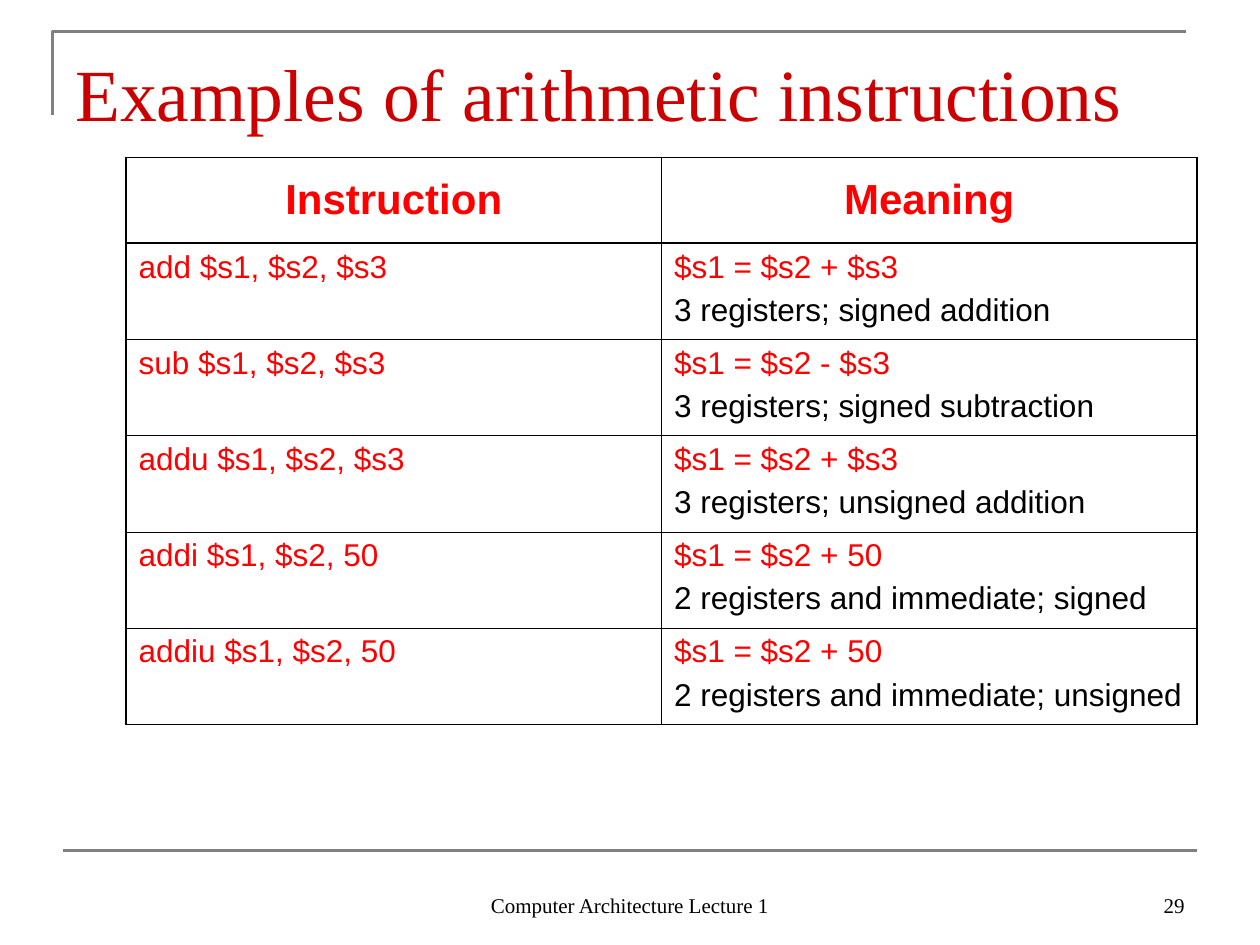
import dataclasses
import lxml.etree
import pptx
import pptx.dml.color
import pptx.enum.shapes
import pptx.enum.text
import pptx.oxml
import pptx.oxml.ns
import pptx.util

COLS, ROWS = 120, 90
WIDE, HIGH = pptx.util.Inches(10), pptx.util.Inches(7.5)
ALIGN = pptx.enum.text.PP_ALIGN
ANCHOR = pptx.enum.text.MSO_ANCHOR
RED, BLACK, GRAY = "FF0000", "000000", "808080"
THICK, THIN = 1.08, 0.45
HEAD = 8.16  # header height in grid rows


@dataclasses.dataclass
class Style:
    size: float
    color: str = BLACK
    face: str = "Times New Roman"
    bold: bool = False
    align: ALIGN = ALIGN.LEFT


@dataclasses.dataclass
class Label:
    text: str
    left: float
    top: float
    width: float
    height: float
    style: Style
    base: float = 0.05


LABELS = [
    Label("Computer Architecture Lecture 1", 41, 82, 38, 6, Style(12, align=ALIGN.CENTER)),
    Label("29", 86, 82, 28, 6, Style(12, align=ALIGN.RIGHT)),
    Label("Examples of arithmetic instructions", 6, 3.6, 108, 9.36, Style(42, "CC0000"), 0),
]

HEADER = Style(24, RED, "Arial", True, ALIGN.CENTER)
CODE = Style(18, RED, "Arial")
NOTE = Style(18, BLACK, "Arial")

TABLE = [
    ("Instruction", "Meaning"),
    ("add $s1, $s2, $s3", "$s1 = $s2 + $s3\n3 registers; signed addition"),
    ("sub $s1, $s2, $s3", "$s1 = $s2 - $s3\n3 registers; signed subtraction"),
    ("addu $s1, $s2, $s3", "$s1 = $s2 + $s3\n3 registers; unsigned addition"),
    ("addi $s1, $s2, 50", "$s1 = $s2 + 50\n2 registers and immediate; signed"),
    ("addiu $s1, $s2, 50", "$s1 = $s2 + 50\n2 registers and immediate; unsigned"),
]


def across(cols: float) -> int:
    return round(WIDE * cols / COLS)


def down(rows: float) -> int:
    return round(HIGH * rows / ROWS)


def shade(code: str) -> pptx.dml.color.RGBColor:
    return pptx.dml.color.RGBColor.from_string(code)


def format_text(para, style: Style) -> None:
    para.alignment = style.align
    for run in para.runs:
        run.font.size = pptx.util.Pt(style.size)
        run.font.name = style.face
        run.font.bold = style.bold
        run.font.color.rgb = shade(style.color)


def draw_label(slide, label: Label) -> None:
    box = slide.shapes.add_textbox(
        across(label.left), down(label.top), across(label.width), down(label.height))
    frame = box.text_frame
    frame.word_wrap = True
    frame.vertical_anchor = ANCHOR.BOTTOM
    frame.margin_bottom = pptx.util.Inches(label.base)
    frame.text = label.text
    format_text(frame.paragraphs[0], label.style)


def draw_rules(slide) -> None:
    """Draw the corner above the title and the line above the footer."""
    build = slide.shapes.build_freeform(across(5), down(11))
    build.add_line_segments(
        [(across(5), down(3)), (across(113), down(3))], close=False)
    corner = build.convert_to_shape()
    corner.shadow.inherit = False
    corner.fill.background()
    rule = slide.shapes.add_connector(
        pptx.enum.shapes.MSO_CONNECTOR.STRAIGHT,
        across(6), down(81), across(114), down(81))
    lxml.etree.SubElement(rule._element.spPr, pptx.oxml.ns.qn("a:effectLst"))
    for shape in (corner, rule):
        shape.line.color.rgb = shade(GRAY)
        shape.line.width = pptx.util.Pt(1.5)


def add_border(cell, side: str, points: float) -> None:
    width = pptx.util.Pt(points)
    cell._tc.get_or_add_tcPr().append(pptx.oxml.parse_xml(
        f'<a:ln{side} {pptx.oxml.ns.nsdecls("a")} w="{width}"><a:solidFill>'
        f'<a:srgbClr val="{BLACK}"/></a:solidFill></a:ln{side}>'))


def draw_cell(cell, text: str, row: int, col: int) -> None:
    last = len(TABLE) - 1
    cell.text_frame.text = text
    cell.vertical_anchor = ANCHOR.TOP if row else ANCHOR.MIDDLE
    for num, para in enumerate(cell.text_frame.paragraphs):
        if num:
            para.space_before = pptx.util.Pt(4.5)
        format_text(para, HEADER if row == 0 else NOTE if num else CODE)
    edges = {"L": col == 0, "R": col == 1, "T": row < 2, "B": row in (0, last)}
    for side, heavy in edges.items():
        add_border(cell, side, THICK if heavy else THIN)
    cell.fill.background()


def draw_table(slide) -> None:
    table = slide.shapes.add_table(
        len(TABLE), 2, across(12), down(15), across(102), down(54)).table
    table.first_row = table.horz_banding = False
    for row, texts in enumerate(TABLE):
        body = (54 - HEAD) / (len(TABLE) - 1)
        table.rows[row].height = down(body if row else HEAD)
        for col, text in enumerate(texts):
            draw_cell(table.cell(row, col), text, row, col)


def main() -> None:
    deck = pptx.Presentation()
    deck.slide_width, deck.slide_height = WIDE, HIGH
    slide = deck.slides.add_slide(deck.slide_layouts[6])
    draw_rules(slide)
    for label in LABELS:
        draw_label(slide, label)
    draw_table(slide)
    deck.save("out.pptx")


if __name__ == "__main__":
    main()
